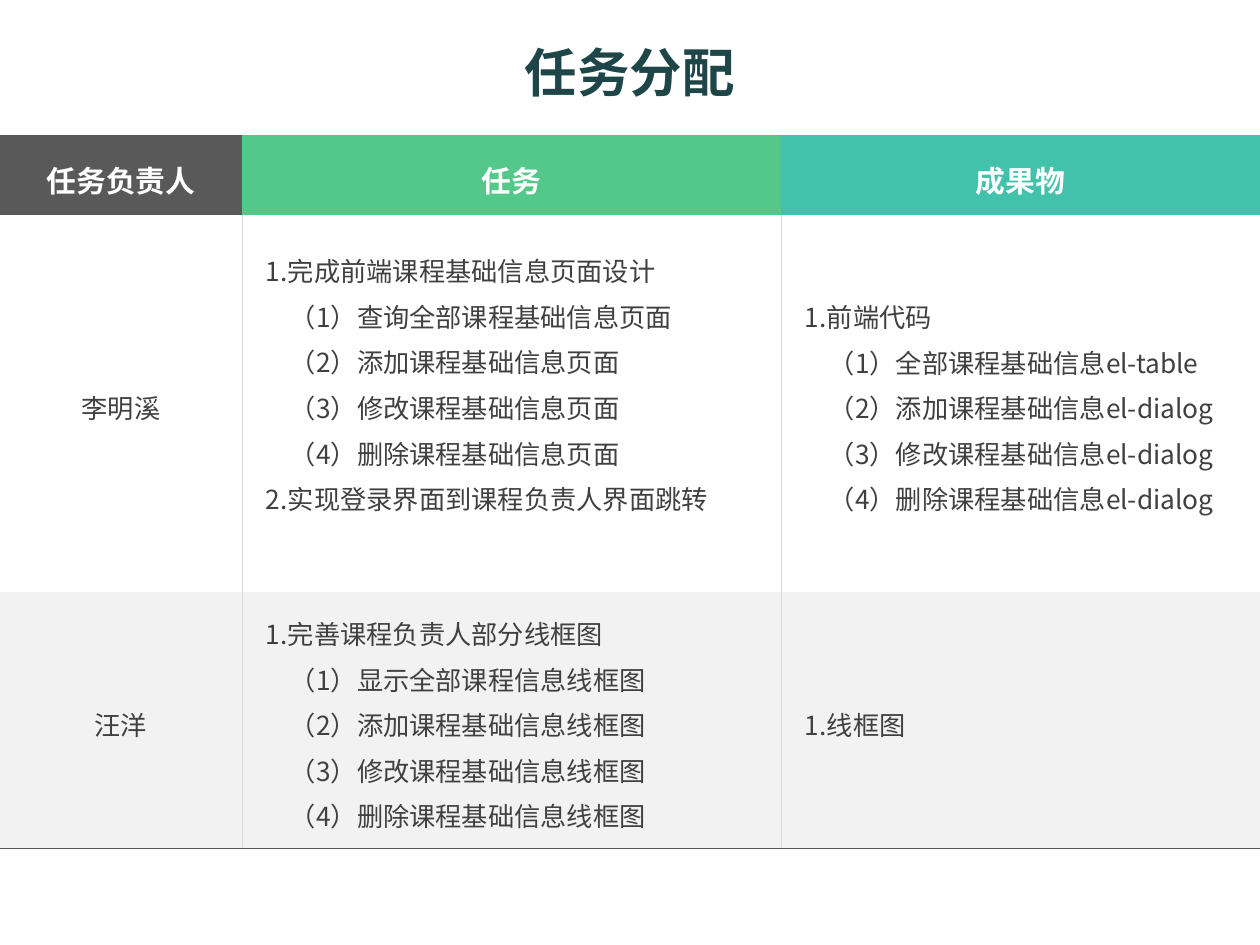
from lxml import etree
from pptx import Presentation
from pptx.dml.color import RGBColor
from pptx.enum.text import MSO_ANCHOR, MSO_AUTO_SIZE, PP_ALIGN
from pptx.oxml.ns import qn
from pptx.util import Emu, Pt

MIDDLE = MSO_ANCHOR.MIDDLE
CENTER, LEFT = PP_ALIGN.CENTER, PP_ALIGN.LEFT
NO_AUTOFIT = MSO_AUTO_SIZE.NONE

FONT = "Noto Sans CJK SC"
TITLE_COLOR = RGBColor(0x1E, 0x46, 0x49)
WHITE = RGBColor(0xFF, 0xFF, 0xFF)
DARK_GRAY = RGBColor(0x59, 0x59, 0x59)
GREEN = RGBColor(0x54, 0xC8, 0x88)
TEAL = RGBColor(0x42, 0xC2, 0xAA)
TEXT_GRAY = RGBColor(0x40, 0x40, 0x40)
BAND_GRAY = RGBColor(0xF2, 0xF2, 0xF2)
RULE_GRAY = RGBColor(0xD9, 0xD9, 0xD9)

PX_PER_INCH = 126
TITLE_ONLY_LAYOUT = 5
NO_STYLE_NO_GRID = "{2D5ABB26-0587-4C30-8999-92F81FD0307C}"

COLUMN_WIDTHS = (242, 539, 479)
ROW_HEIGHTS = (80, 377, 257)
COLUMN_RULES = (0.45, 0.23)  # points, between neighbouring columns
SUBITEM_INDENT = 24
CELL_PAD_X, CELL_PAD_Y = 24, 6
LINE_HEIGHT = 46

HEADERS = (("任务负责人", DARK_GRAY), ("任务", GREEN), ("成果物", TEAL))
ASSIGNMENTS = (
    (
        ["李明溪"],
        [
            "1.完成前端课程基础信息页面设计",
            "（1）查询全部课程基础信息页面",
            "（2）添加课程基础信息页面",
            "（3）修改课程基础信息页面",
            "（4）删除课程基础信息页面",
            "2.实现登录界面到课程负责人界面跳转",
        ],
        [
            "1.前端代码",
            "（1）全部课程基础信息el-table",
            "（2）添加课程基础信息el-dialog",
            "（3）修改课程基础信息el-dialog",
            "（4）删除课程基础信息el-dialog",
        ],
    ),
    (
        ["汪洋"],
        [
            "1.完善课程负责人部分线框图",
            "（1）显示全部课程信息线框图",
            "（2）添加课程基础信息线框图",
            "（3）修改课程基础信息线框图",
            "（4）删除课程基础信息线框图",
        ],
        ["1.线框图"],
    ),
)


def px(length):
    return Emu(round(length * 914400 / PX_PER_INCH))


def add_run(paragraph, text, size, color, bold=False):
    run = paragraph.add_run()
    run.text = text
    font = run.font
    font.name, font.size, font.bold = FONT, Pt(size), bold
    font.color.rgb = color
    east_asian = etree.SubElement(run._r.get_or_add_rPr(), qn("a:ea"))
    east_asian.set("typeface", FONT)


def add_title(slide, text):
    title = slide.shapes.title
    title.left, title.top = px(63), px(31)
    title.width, title.height = px(1134), px(82)
    frame = title.text_frame
    frame.auto_size = NO_AUTOFIT
    frame.vertical_anchor = MIDDLE
    paragraph = frame.paragraphs[0]
    paragraph.alignment = CENTER
    add_run(paragraph, text, 30, TITLE_COLOR, bold=True)


def fill_cell(cell, lines, fill, align, size=15, color=TEXT_GRAY, bold=False):
    cell.fill.solid()
    cell.fill.fore_color.rgb = fill
    cell.vertical_anchor = MIDDLE
    cell.margin_left = cell.margin_right = px(CELL_PAD_X)
    cell.margin_top = cell.margin_bottom = px(CELL_PAD_Y)
    frame = cell.text_frame
    for i, line in enumerate(lines):
        paragraph = frame.add_paragraph() if i else frame.paragraphs[0]
        paragraph.alignment = align
        paragraph.line_spacing = 1.2
        if line.startswith("（"):
            properties = paragraph._p.get_or_add_pPr()
            properties.set("marL", "0")
            properties.set("indent", str(px(SUBITEM_INDENT)))
        add_run(paragraph, line, size, color, bold)


def set_borders(cell, borders):
    """Borders are (side, colour, points) in the order L, R, T, B."""
    properties = cell._tc.get_or_add_tcPr()
    for i, (side, color, width) in enumerate(borders):
        line = etree.Element(qn(f"a:ln{side}"), w=str(Pt(width)))
        solid = etree.SubElement(line, qn("a:solidFill"))
        etree.SubElement(solid, qn("a:srgbClr"), val=str(color))
        properties.insert(i, line)


def body_borders(column, is_last_row):
    borders = []
    if column > 0:
        borders.append(("L", RULE_GRAY, COLUMN_RULES[column - 1]))
    if column < len(COLUMN_RULES):
        borders.append(("R", RULE_GRAY, COLUMN_RULES[column]))
    if is_last_row:
        borders.append(("B", DARK_GRAY, 0.75))
    return borders


def add_assignment_table(slide):
    table = slide.shapes.add_table(
        len(ROW_HEIGHTS), len(COLUMN_WIDTHS), px(0), px(135),
        px(sum(COLUMN_WIDTHS)), px(sum(ROW_HEIGHTS)),
    ).table
    table._tbl.tblPr.find(qn("a:tableStyleId")).text = NO_STYLE_NO_GRID
    for column, width in zip(table.columns, COLUMN_WIDTHS):
        column.width = px(width)
    for row, height in zip(table.rows, ROW_HEIGHTS):
        row.height = px(height)

    # Header row
    for column, (heading, fill) in enumerate(HEADERS):
        fill_cell(table.cell(0, column), [heading], fill, CENTER, 17, WHITE, True)

    # One row per person
    for row, assignment in enumerate(ASSIGNMENTS, start=1):
        fill = WHITE if row % 2 else BAND_GRAY
        for column, lines in enumerate(assignment):
            cell = table.cell(row, column)
            fill_cell(cell, lines, fill, LEFT if column else CENTER)
            set_borders(cell, body_borders(column, row == len(ASSIGNMENTS)))

    # The first task list sits half a line above the middle
    table.cell(1, 1).margin_bottom = px(CELL_PAD_Y + LINE_HEIGHT)


def main():
    presentation = Presentation()
    presentation.slide_width, presentation.slide_height = px(1260), px(945)
    layout = presentation.slide_layouts[TITLE_ONLY_LAYOUT]
    slide = presentation.slides.add_slide(layout)
    add_assignment_table(slide)
    add_title(slide, "任务分配")
    presentation.save("out.pptx")


if __name__ == "__main__":
    main()
